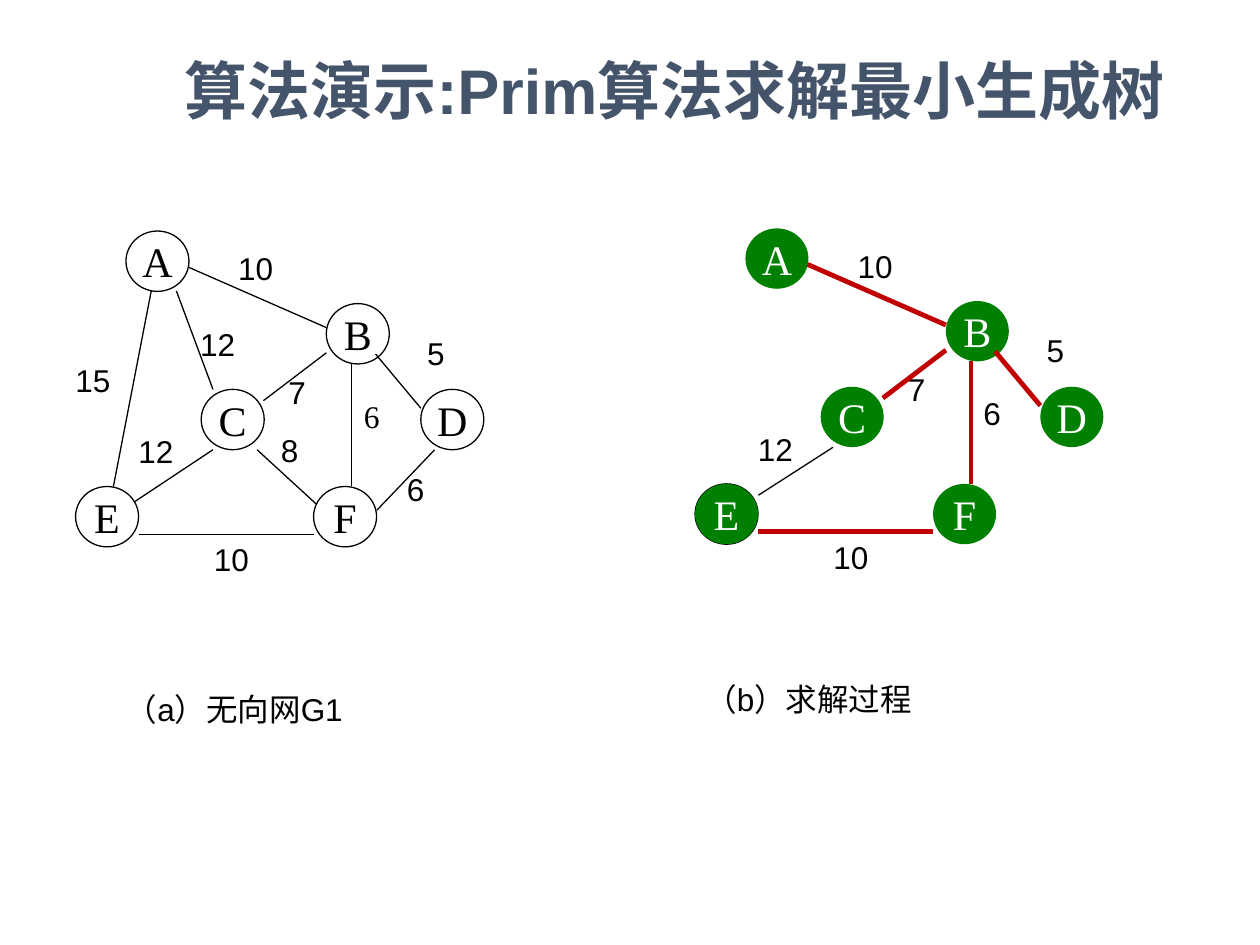
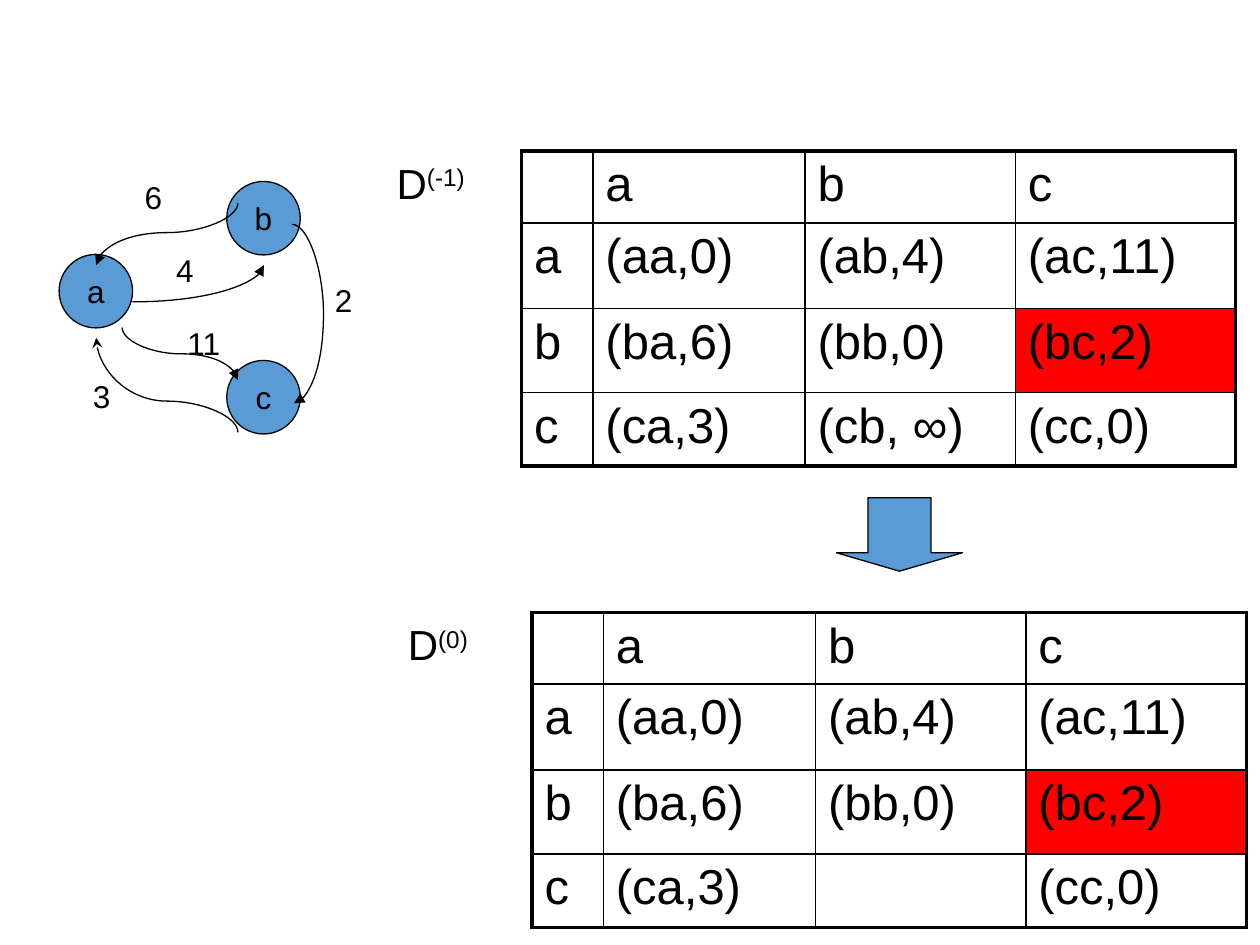
from dataclasses import dataclass

from lxml import etree
from pptx import Presentation
from pptx.dml.color import RGBColor
from pptx.enum.shapes import MSO_CONNECTOR, MSO_SHAPE
from pptx.enum.text import MSO_ANCHOR, PP_ALIGN
from pptx.oxml.ns import qn
from pptx.util import Pt

LEFT, CENTER = PP_ALIGN.LEFT, PP_ALIGN.CENTER
MIDDLE = MSO_ANCHOR.MIDDLE
OVAL, DOWN_ARROW = MSO_SHAPE.OVAL, MSO_SHAPE.DOWN_ARROW
STRAIGHT, CURVE = MSO_CONNECTOR.STRAIGHT, MSO_CONNECTOR.CURVE


@dataclass(frozen=True)
class Theme:
    black: str = "000000"
    white: str = "FFFFFF"
    title: str = "44546A"
    visited: str = "008000"
    chosen: str = "C00000"
    blue: str = "5B9BD5"
    highlight: str = "FF0000"
    sans: str = "Arial"
    serif: str = "Times New Roman"
    title_size: float = 36
    table_size: float = 28
    large: float = 24
    body: float = 18
    thin: float = 0.75
    cell_line: float = 1
    frame_line: float = 2.25
    thick: float = 2.75


THEME = Theme()


@dataclass(frozen=True)
class Node:
    name: str
    left: float
    top: float


@dataclass(frozen=True)
class Label:
    text: str
    left: float
    top: float
    font: str = THEME.sans


@dataclass(frozen=True)
class Edge:
    start: tuple[float, float]
    end: tuple[float, float]
    label: Label


@dataclass(frozen=True)
class Curve:
    start: tuple[float, float]
    end: tuple[float, float]
    rotation: int = 0
    flip: str = ""
    preset: str = "curvedConnector3"
    bend: float | None = None
    arrow: tuple[str, str] = ("tailEnd", "triangle")


# Slide 1: the weighted graph, and the spanning tree at a fixed offset
GRAPH_NODES = [
    Node("A", 72, 132), Node("B", 186.5, 173.5), Node("C", 115, 222.5),
    Node("D", 240.5, 222.5), Node("E", 43.2, 278), Node("F", 179.2, 278),
]
GRAPH_EDGES = {
    "AB": Edge((107.5, 152.6), (186.5, 187.2), Label("10", 129, 139)),
    "AC": Edge((100.8, 166.3), (121.7, 222.5), Label("12", 107.3, 182.2)),
    "AE": Edge((86.4, 166.3), (64.8, 278), Label("15", 36, 203)),
    "BC": Edge((150.5, 229), (186.5, 201.6), Label("7", 157.7, 209.5)),
    "BD": Edge((214.6, 202.3), (240.5, 233.3), Label("5", 237, 187.2)),
    "BF": Edge((200.9, 208), (200.9, 278), Label("6", 200.9, 223.2, THEME.serif)),
    "CE": Edge((121.7, 257), (76.5, 287), Label("12", 72, 243.4)),
    "CF": Edge((146.9, 257), (180.7, 288), Label("8", 153.4, 242.6)),
    "DF": Edge((248.4, 257), (215.3, 291.6), Label("6", 225.4, 265)),
    "EF": Edge((79.2, 305.3), (179.3, 305.3), Label("10", 115.2, 305.3)),
}
TREE_EDGES = ["AB", "BC", "BD", "BF", "EF"]
TREE_SHIFT = (354, -1.5)

# Slide 2: the directed graph and its distance matrices
DIGRAPH_NODES = [Node("a", 33.8, 145.4), Node("b", 129.6, 103.7), Node("c", 129.6, 206)]
DIGRAPH_CURVES = [
    Curve((75.6, 172.5), (150.8, 151.5), flip="V", preset="curvedConnector2"),
    Curve((136, 116), (55, 151.5), 270, "HV", bend=0.477),
    Curve((69.8, 187.2), (136, 217.2), 90, "V", bend=0.5),
    Curve((55, 193), (136, 247), 90, "V", bend=0.67, arrow=("headEnd", "stealth")),
    Curve((167, 128.2), (168, 230.4), bend=18),
]
DIGRAPH_LABELS = [
    Label("11", 100, 181.5), Label("6", 75.6, 98), Label("4", 93.6, 139.7),
    Label("2", 184.3, 157), Label("3", 46, 211.7),
]
COLUMN_WIDTHS = [40.8, 121.2, 120.2, 126]
ROW_HEIGHTS = [41, 49, 48, 42]
DISTANCES = [
    ["", "a", "b", "c"],
    ["a", "(aa,0)", "(ab,4)", "(ac,11)"],
    ["b", "(ba,6)", "(bb,0)", "(bc,2)"],
    ["c", "(ca,3)", "(cb, ∞)", "(cc,0)"],
]
HIGHLIGHTED = "(bc,2)"


def write(frame, text: str, *, size: float = THEME.body, font: str = THEME.sans,
          color: str = THEME.black, bold: bool = False, align=LEFT,
          superscript: str = "") -> None:
    paragraph = frame.paragraphs[0]
    paragraph.alignment = align
    for part, baseline in ((text, None), (superscript, "30000")):
        if not part:
            continue
        run = paragraph.add_run()
        run.text = part
        run.font.size, run.font.name, run.font.bold = Pt(size), font, bold
        run.font.color.rgb = RGBColor.from_string(color)
        if baseline:
            run.font._element.set("baseline", baseline)


def add_text(slide, text: str, left: float, top: float, width: float = 58,
             height: float = 29, **style) -> None:
    box = slide.shapes.add_textbox(Pt(left), Pt(top), Pt(width), Pt(height))
    box.text_frame.word_wrap = True
    write(box.text_frame, text, **style)


def add_filled_shape(slide, kind, left: float, top: float, width: float, height: float,
                     fill: str | None, line: str | None):
    shape = slide.shapes.add_shape(kind, Pt(left), Pt(top), Pt(width), Pt(height))
    shape.shadow.inherit = False
    if fill:
        shape.fill.solid()
        shape.fill.fore_color.rgb = RGBColor.from_string(fill)
    else:
        shape.fill.background()
    if line:
        shape.line.color.rgb = RGBColor.from_string(line)
        shape.line.width = Pt(THEME.thin)
    else:
        shape.line.fill.background()
    return shape


def add_node(slide, node: Node, extent: tuple[float, float], *, fill: str | None = None,
             line: str | None = THEME.black, **style) -> None:
    shape = add_filled_shape(slide, OVAL, node.left, node.top, *extent, fill, line)
    frame = shape.text_frame
    frame.word_wrap = False
    frame.vertical_anchor = MIDDLE
    write(frame, node.name, align=CENTER, **style)


def add_line(slide, kind, start: tuple[float, float], end: tuple[float, float],
             color: str = THEME.black, width: float = THEME.thin):
    connector = slide.shapes.add_connector(kind, *(Pt(value) for value in (*start, *end)))
    connector.line.color.rgb = RGBColor.from_string(color)
    connector.line.width = Pt(width)
    etree.SubElement(connector.element.spPr, qn("a:effectLst"))
    return connector


def add_curve(slide, curve: Curve) -> None:
    (x1, y1), (x2, y2) = curve.start, curve.end
    width, height = abs(x2 - x1), abs(y2 - y1)
    if curve.rotation % 180:
        width, height = height, width
    left, top = (x1 + x2 - width) / 2, (y1 + y2 - height) / 2
    connector = add_line(slide, CURVE, (left, top), (left + width, top + height))
    properties = connector.element.spPr
    transform = properties.find(qn("a:xfrm"))
    if curve.rotation:
        transform.set("rot", str(curve.rotation * 60000))
    for axis in curve.flip:
        transform.set(f"flip{axis}", "1")
    geometry = properties.find(qn("a:prstGeom"))
    geometry.set("prst", curve.preset)
    if curve.bend is not None:
        guide = etree.SubElement(geometry.find(qn("a:avLst")), qn("a:gd"))
        guide.set("name", "adj1")
        guide.set("fmla", f"val {round(curve.bend * 100000)}")
    end_name, end_type = curve.arrow
    etree.SubElement(properties.find(qn("a:ln")), qn(f"a:{end_name}")).set("type", end_type)


def add_border(cell, side: str, width: float) -> None:
    line = etree.SubElement(cell._tc.get_or_add_tcPr(), qn(f"a:ln{side}"), w=str(int(Pt(width))))
    fill = etree.SubElement(line, qn("a:solidFill"))
    etree.SubElement(fill, qn("a:srgbClr"), val=THEME.black)


def add_matrix(slide, rows: list[list[str]], left: float, top: float) -> None:
    last_row, last_column = len(rows) - 1, len(rows[0]) - 1
    table = slide.shapes.add_table(
        len(rows), len(rows[0]), Pt(left), Pt(top),
        Pt(sum(COLUMN_WIDTHS)), Pt(sum(ROW_HEIGHTS))).table
    table.first_row = table.horz_banding = False
    for column, width in zip(table.columns, COLUMN_WIDTHS):
        column.width = Pt(width)
    for row, height in zip(table.rows, ROW_HEIGHTS):
        row.height = Pt(height)
    for r, values in enumerate(rows):
        for c, value in enumerate(values):
            cell = table.cell(r, c)
            on_frame = {"L": c == 0, "R": c == last_column, "T": r == 0, "B": r == last_row}
            for side, outer in on_frame.items():
                add_border(cell, side, THEME.frame_line if outer else THEME.cell_line)
            if value == HIGHLIGHTED:
                cell.fill.solid()
                cell.fill.fore_color.rgb = RGBColor.from_string(THEME.highlight)
            else:
                cell.fill.background()
            write(cell.text_frame, value, size=THEME.table_size)


def build_spanning_tree(slide) -> None:
    node_extent = (36, 34.5)
    letters = {"size": THEME.large, "font": THEME.serif}
    add_text(slide, "算法演示:Prim算法求解最小生成树", 88, 26, 595, 51,
             size=THEME.title_size, color=THEME.title, bold=True, align=CENTER)

    # Undirected graph
    for edge in GRAPH_EDGES.values():
        add_text(slide, edge.label.text, edge.label.left, edge.label.top, font=edge.label.font)
    for node in GRAPH_NODES:
        add_node(slide, node, node_extent, **letters)
    for edge in GRAPH_EDGES.values():
        add_line(slide, STRAIGHT, edge.start, edge.end)
    add_text(slide, "（a）无向网G1", 64.8, 391, 252)

    # Spanning tree, with the last candidate edge in black
    dx, dy = TREE_SHIFT
    for name in [*TREE_EDGES, "CE"]:
        label = GRAPH_EDGES[name].label
        add_text(slide, label.text, label.left + dx, label.top + dy)
    add_filled_shape(slide, OVAL, 397.2, 276.5, *node_extent, None, THEME.black)
    for node in GRAPH_NODES:
        moved = Node(node.name, node.left + dx, node.top + dy)
        add_node(slide, moved, node_extent, fill=THEME.visited, line=None,
                 color=THEME.white, **letters)
    add_line(slide, STRAIGHT, (476, 255.6), (433.4, 283))
    for name in TREE_EDGES:
        start, end = ((x + dx, y + dy) for x, y in
                      (GRAPH_EDGES[name].start, GRAPH_EDGES[name].end))
        add_line(slide, STRAIGHT, start, end, THEME.chosen, THEME.thick)
    add_text(slide, "（b）求解过程", 396, 385, 250)


def build_distance_matrices(slide) -> None:
    # Directed graph
    for node in DIGRAPH_NODES:
        add_node(slide, node, (42, 42), fill=THEME.blue)
    for curve in DIGRAPH_CURVES:
        add_curve(slide, curve)
    for label in DIGRAPH_LABELS:
        add_text(slide, label.text, label.left, label.top, 36)

    # Matrices before and after the first step
    after = [["" if "∞" in value else value for value in row] for row in DISTANCES]
    add_matrix(slide, DISTANCES, 298, 86.4)
    add_text(slide, "D", 219.6, 86.4, 72, 36, size=THEME.large, superscript="(-1)")
    add_matrix(slide, after, 304, 350)
    add_text(slide, "D", 226, 350, 72, 36, size=THEME.large, superscript="(0)")
    arrow = add_filled_shape(slide, DOWN_ARROW, 478, 284.4, 72, 42, THEME.blue, THEME.black)
    arrow.adjustments[0], arrow.adjustments[1] = 0.5, 0.25


def main() -> None:
    presentation = Presentation()
    presentation.slide_width, presentation.slide_height = Pt(720), Pt(540)
    blank = presentation.slide_layouts[6]
    for build in (build_spanning_tree, build_distance_matrices):
        build(presentation.slides.add_slide(blank))
    presentation.save("out.pptx")


if __name__ == "__main__":
    main()
